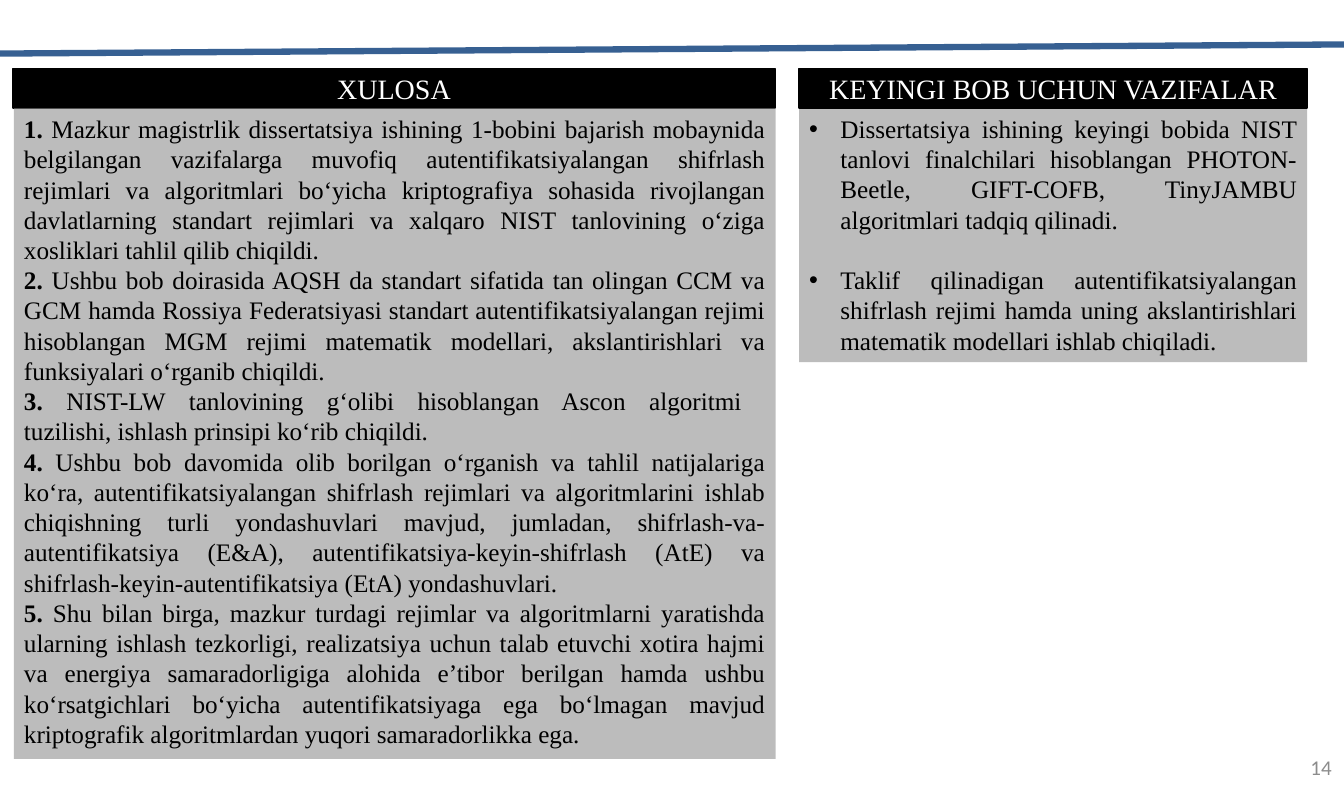
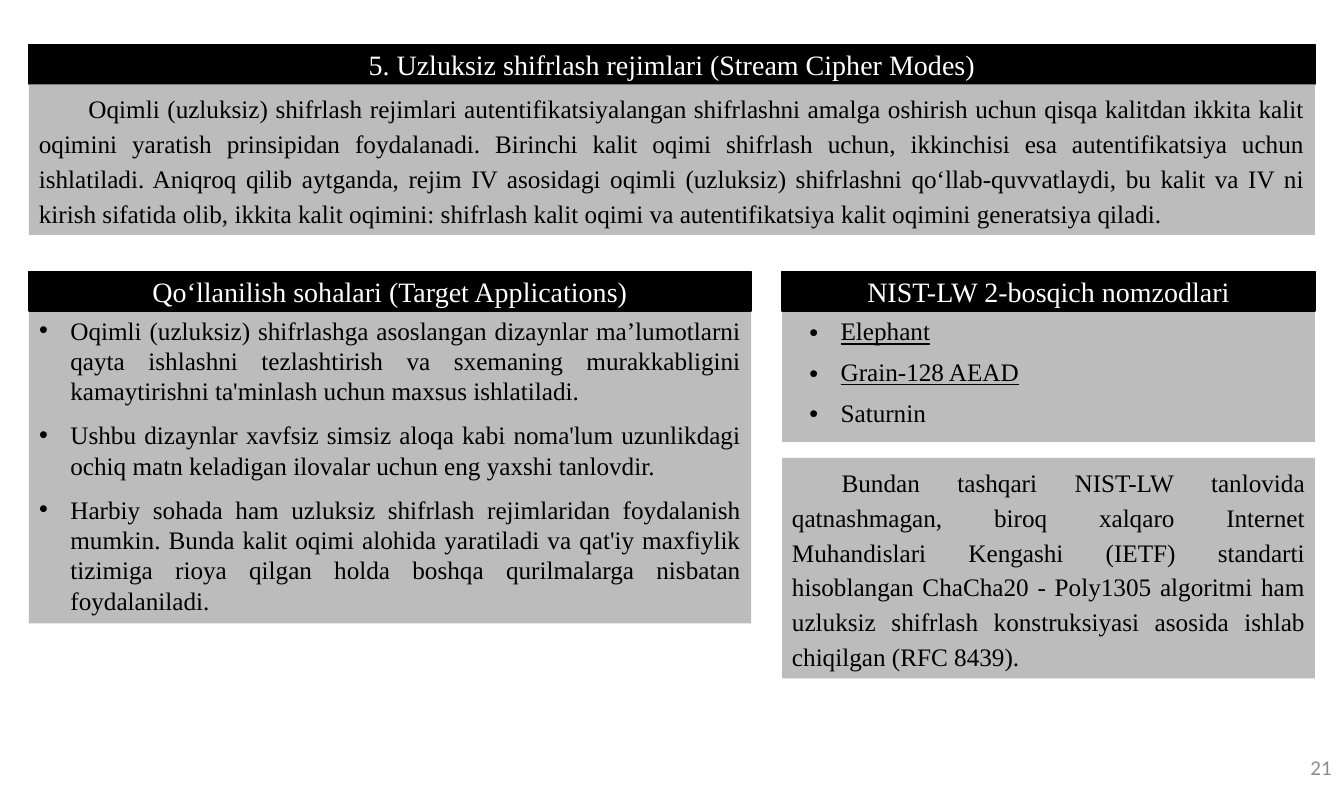
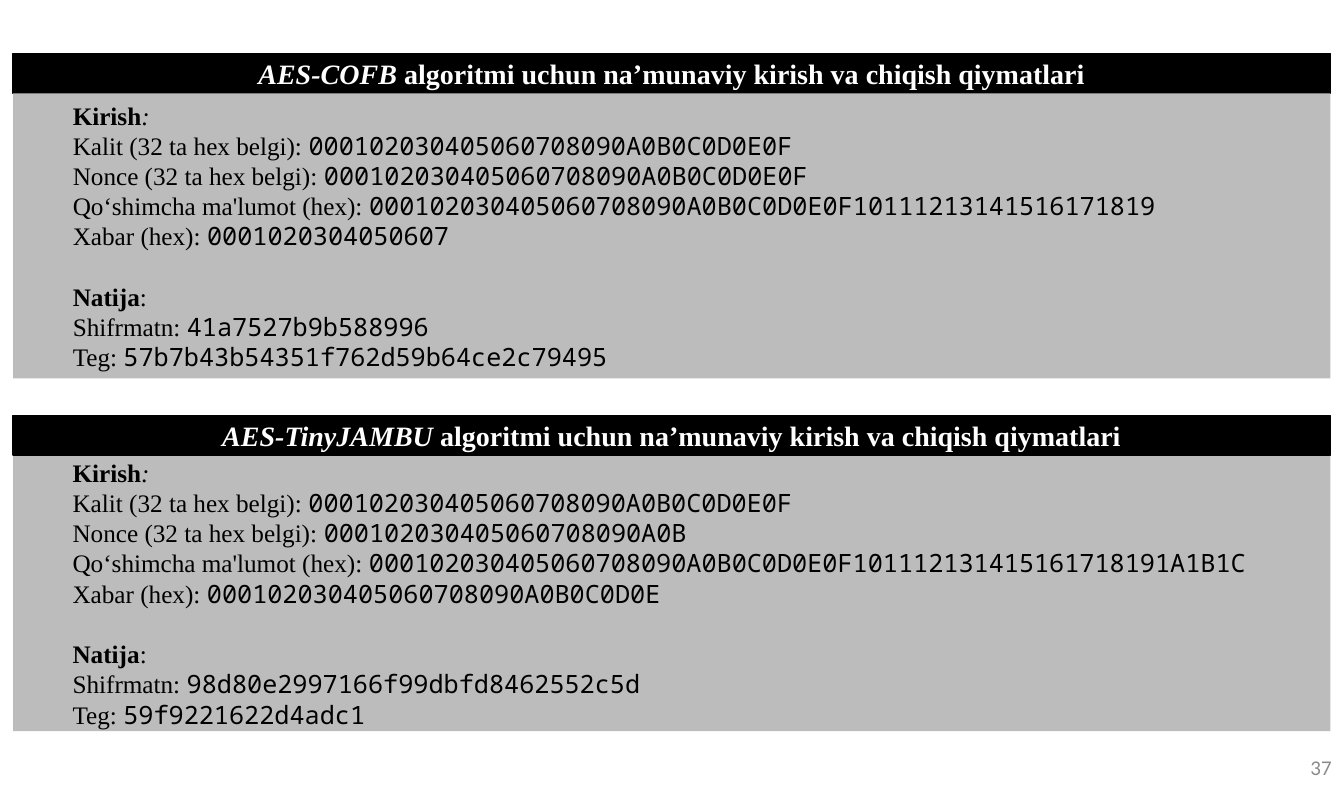
from lxml import etree
from pptx import Presentation
from pptx import util as u
from pptx.dml.color import RGBColor
from pptx.enum import shapes, text
from pptx.oxml import ns

Cm, Pt = u.Cm, u.Pt

COLORS = {"heading": "000000", "heading_text": "FFFFFF", "panel": "A6A6A6",
          "body_text": "000000", "rule": "376092", "number": "8C8C8C"}
SERIF, MONO, SANS = "Times New Roman", "Noto Sans Mono", "Calibri"
HEADING_HEIGHT = 1.0
LINE = 21.6
BULLET_INDENT = 0.79
FIRST_LINE_INDENT = 1.25
NO_TABLE_STYLE = "{2D5ABB26-0587-4C30-8999-92F81FD0307C}"

# Paragraph layouts: bullet, first-line indent in cm, line spacing, space after in pt
STYLES = {
    "plain": {},
    "bullets": {"bullet": True},
    "spaced bullets": {"bullet": True, "after": 10},
    "prose": {"indent": FIRST_LINE_INDENT, "spacing": 1.15, "after": 10},
    "listing": {"indent": FIRST_LINE_INDENT},
}

CONCLUSIONS = [
    "Mazkur magistrlik dissertatsiya ishining 1-bobini bajarish mobaynida belgilangan vazifalarga muvofiq autentifikatsiyalangan shifrlash rejimlari va algoritmlari bo‘yicha kriptografiya sohasida rivojlangan davlatlarning standart rejimlari va xalqaro NIST tanlovining o‘ziga xosliklari tahlil qilib chiqildi.",
    "Ushbu bob doirasida AQSH da standart sifatida tan olingan CCM va GCM hamda Rossiya Federatsiyasi standart autentifikatsiyalangan rejimi hisoblangan MGM rejimi matematik modellari, akslantirishlari va funksiyalari o‘rganib chiqildi.",
    "NIST-LW tanlovining g‘olibi hisoblangan Ascon algoritmi \ntuzilishi, ishlash prinsipi ko‘rib chiqildi.",
    "Ushbu bob davomida olib borilgan o‘rganish va tahlil natijalariga ko‘ra, autentifikatsiyalangan shifrlash rejimlari va algoritmlarini ishlab chiqishning turli yondashuvlari mavjud, jumladan, shifrlash-va-autentifikatsiya (E&A), autentifikatsiya-keyin-shifrlash (AtE) va shifrlash-keyin-autentifikatsiya (EtA) yondashuvlari.",
    "Shu bilan birga, mazkur turdagi rejimlar va algoritmlarni yaratishda ularning ishlash tezkorligi, realizatsiya uchun talab etuvchi xotira hajmi va energiya samaradorligiga alohida e’tibor berilgan hamda ushbu ko‘rsatgichlari bo‘yicha autentifikatsiyaga ega bo‘lmagan mavjud kriptografik algoritmlardan yuqori samaradorlikka ega.",
]
NEXT_TASKS = [
    "Dissertatsiya ishining keyingi bobida NIST tanlovi finalchilari hisoblangan PHOTON-Beetle, GIFT-COFB, TinyJAMBU algoritmlari tadqiq qilinadi.",
    "Taklif qilinadigan autentifikatsiyalangan shifrlash rejimi hamda uning akslantirishlari matematik modellari ishlab chiqiladi.",
]
STREAM_MODES = "Oqimli (uzluksiz) shifrlash rejimlari autentifikatsiyalangan shifrlashni amalga oshirish uchun qisqa kalitdan ikkita kalit oqimini yaratish prinsipidan foydalanadi. Birinchi kalit oqimi shifrlash uchun, ikkinchisi esa autentifikatsiya uchun ishlatiladi. Aniqroq qilib aytganda, rejim IV asosidagi oqimli (uzluksiz) shifrlashni qo‘llab-quvvatlaydi, bu kalit va IV ni kirish sifatida olib, ikkita kalit oqimini: shifrlash kalit oqimi va autentifikatsiya kalit oqimini generatsiya qiladi."
APPLICATIONS = [
    "Oqimli (uzluksiz) shifrlashga asoslangan dizaynlar ma’lumotlarni qayta ishlashni tezlashtirish va sxemaning murakkabligini kamaytirishni ta'minlash uchun maxsus ishlatiladi.",
    "Ushbu dizaynlar xavfsiz simsiz aloqa kabi noma'lum uzunlikdagi ochiq matn keladigan ilovalar uchun eng yaxshi tanlovdir.",
    "Harbiy sohada ham uzluksiz shifrlash rejimlaridan foydalanish mumkin. Bunda kalit oqimi alohida yaratiladi va qat'iy maxfiylik tizimiga rioya qilgan holda boshqa qurilmalarga nisbatan foydalaniladi.",
]
CANDIDATES = [("Elephant", True), ("Grain-128 AEAD", True), ("Saturnin", False)]
CHACHA = "Bundan tashqari NIST-LW tanlovida qatnashmagan, biroq xalqaro Internet Muhandislari Kengashi (IETF) standarti hisoblangan ChaCha20 - Poly1305 algoritmi ham uzluksiz shifrlash konstruksiyasi asosida ishlab chiqilgan (RFC 8439)."

INPUT_LABELS = ["Kalit (32 ta hex belgi): ", "Nonce (32 ta hex belgi): ",
                "Qo‘shimcha ma'lumot (hex): ", "Xabar (hex): "]
OUTPUT_LABELS = ["Shifrmatn: ", "Teg: "]
TEST_VECTORS = [
    {"name": "AES-COFB ", "top": 1.35, "height": 7.19,
     "inputs": ["000102030405060708090A0B0C0D0E0F",
                "000102030405060708090A0B0C0D0E0F",
                "000102030405060708090A0B0C0D0E0F10111213141516171819",
                "0001020304050607"],
     "outputs": ["41a7527b9b588996", "57b7b43b54351f762d59b64ce2c79495"]},
    {"name": "AES-TinyJAMBU ", "top": 10.47, "height": 6.96,
     "inputs": ["000102030405060708090A0B0C0D0E0F",
                "000102030405060708090A0B",
                "000102030405060708090A0B0C0D0E0F101112131415161718191A1B1C",
                "000102030405060708090A0B0C0D0E"],
     "outputs": ["98d80e2997166f99dbfd8462552c5d", "59f9221622d4adc1"]},
]
VECTOR_TITLE = "algoritmi uchun na’munaviy kirish va chiqish qiymatlari"


def rgb(name):
    return RGBColor.from_string(COLORS[name])


def format_paragraph(paragraph, size, color, font=SERIF, align=None, bullet=False,
                     indent=0, spacing=1.0, before=0, after=0):
    properties = paragraph._p.get_or_add_pPr()
    first = -BULLET_INDENT if bullet else indent
    properties.set("marL", str(Cm(BULLET_INDENT if bullet else 0)))
    properties.set("indent", str(Cm(first)))
    if bullet:
        etree.SubElement(properties, ns.qn("a:buFont")).set("typeface", "Arial")
        etree.SubElement(properties, ns.qn("a:buChar")).set("char", "•")
    else:
        etree.SubElement(properties, ns.qn("a:buNone"))
    paragraph.alignment = align
    paragraph.line_spacing = spacing
    paragraph.space_before, paragraph.space_after = Pt(before), Pt(after)
    paragraph.font.name, paragraph.font.size = font, Pt(size)
    paragraph.font.color.rgb = rgb(color)


def add_runs(paragraph, runs):
    """Add (text, font attributes) pairs; a newline becomes a line break."""
    for words, attributes in runs:
        for index, piece in enumerate(words.split("\n")):
            if index:
                paragraph.add_line_break()
            run = paragraph.add_run()
            run.text = piece
            for name, value in attributes.items():
                setattr(run.font, name, value)


def write(shape, paragraphs, anchor, **layout):
    """Fill a shape with paragraphs, each a list of runs and its space before."""
    frame = shape.text_frame
    frame.word_wrap = True
    frame.auto_size = text.MSO_AUTO_SIZE.NONE
    frame.vertical_anchor = anchor
    for index, (runs, before) in enumerate(paragraphs):
        paragraph = frame.add_paragraph() if index else frame.paragraphs[0]
        format_paragraph(paragraph, before=before, **layout)
        add_runs(paragraph, runs)


def place(slide, placeholder, left, top, width, height):
    """Move the placeholder there, or add a rectangle when there is none."""
    box = [Cm(length) for length in (left, top, width, height)]
    if placeholder is None:
        shape = slide.shapes.add_shape(shapes.MSO_SHAPE.RECTANGLE, *box)
        shape.shadow.inherit = False
        return shape
    placeholder.left, placeholder.top, placeholder.width, placeholder.height = box
    return placeholder


def add_heading(slide, left, top, width, runs, placeholder=None):
    shape = place(slide, placeholder, left, top, width, HEADING_HEIGHT)
    shape.fill.solid()
    shape.fill.fore_color.rgb = rgb("heading")
    shape.line.color.rgb = rgb("heading")
    shape.line.width = Pt(1)
    write(shape, [(runs, 0)], text.MSO_ANCHOR.MIDDLE, size=20,
          color="heading_text", align=text.PP_ALIGN.CENTER)


def add_panel(slide, left, top, width, height, paragraphs=(), style="plain",
              placeholder=None, anchor=text.MSO_ANCHOR.TOP):
    shape = place(slide, placeholder, left, top, width, height)
    shape.fill.solid()
    shape.fill.fore_color.rgb = rgb("panel")
    color = shape._element.spPr.find(".//" + ns.qn("a:srgbClr"))
    etree.SubElement(color, ns.qn("a:alpha")).set("val", "75000")
    shape.line.fill.background()
    write(shape, paragraphs, anchor, size=18, color="body_text",
          align=text.PP_ALIGN.JUSTIFY, **STYLES[style])


def plain(items, gap=0):
    """One paragraph per text, with a gap between them."""
    return [([(item, {})], gap if index else 0) for index, item in enumerate(items)]


def start_slide(presentation, number):
    """Add a slide with its number; return it with its title and body."""
    slide = presentation.slides.add_slide(presentation.slide_layouts[1])
    box = slide.shapes.add_textbox(Cm(25.96), Cm(18.8), Cm(7.9), Cm(1.06))
    frame = box.text_frame
    frame.margin_left = frame.margin_right = Cm(0.3)
    write(box, [([(str(number), {})], 0)], text.MSO_ANCHOR.MIDDLE, size=15,
          color="number", font=SANS, align=text.PP_ALIGN.RIGHT)
    return slide, slide.shapes.title, slide.placeholders[1]


def build_conclusions(presentation):
    slide, title, body = start_slide(presentation, 14)
    rule = slide.shapes.add_connector(shapes.MSO_CONNECTOR.STRAIGHT, 0, Cm(1.35),
                                      presentation.slide_width, Cm(1.12))
    rule.line.color.rgb = rgb("rule")
    rule.line.width = Pt(4.5)
    etree.SubElement(rule._element.spPr, ns.qn("a:effectLst"))

    top, panel_top = 1.72, 2.73
    numbered = [([(f"{number}. ", {"bold": True}), (item, {})], 0)
                for number, item in enumerate(CONCLUSIONS, 1)]
    add_panel(slide, 0.35, panel_top, 19.2, 16.4, numbered, placeholder=body)
    add_heading(slide, 0.33, top, 19.2, [("XULOSA", {})], title)
    add_panel(slide, 20.14, panel_top, 12.8, 6.4, plain(NEXT_TASKS, LINE), "bullets")
    add_heading(slide, 20.14, top, 12.8, [("KEYINGI BOB UCHUN VAZIFALAR", {})])


def add_candidates(slide, left, top, widths, row_height):
    graphic = slide.shapes.add_table(len(CANDIDATES), len(widths), Cm(left), Cm(top),
                                     Cm(sum(widths)), Cm(row_height * len(CANDIDATES)))
    table = graphic.table
    table.first_row = table.horz_banding = False
    table._tbl.tblPr.find(ns.qn("a:tableStyleId")).text = NO_TABLE_STYLE
    for column, width in zip(table.columns, widths):
        column.width = Cm(width)
    for cell in table.iter_cells():
        cell.fill.background()
    for row, (name, underlined) in enumerate(CANDIDATES):
        paragraph = table.cell(row, 0).text_frame.paragraphs[0]
        format_paragraph(paragraph, 18, "body_text", bullet=True)
        add_runs(paragraph, [(name, {"underline": underlined})])


def build_stream_modes(presentation):
    slide, title, body = start_slide(presentation, 21)
    left, right, right_width = 0.73, 19.71, 13.43
    top, lower_top = 1.12, 6.84
    lower_panel = lower_top + HEADING_HEIGHT
    full_width = right + right_width - left

    add_panel(slide, left, top + HEADING_HEIGHT, full_width, 3.8,
              plain([STREAM_MODES]), "prose")
    add_heading(slide, left, top, full_width,
                [("5. Uzluksiz shifrlash rejimlari (Stream Cipher Modes)", {})], title)
    add_panel(slide, left, lower_panel - 0.03, 18.2, 7.9, plain(APPLICATIONS),
              "spaced bullets", body)
    add_heading(slide, left, lower_top, 18.2,
                [("Qo‘llanilish sohalari (Target Applications)", {})])
    add_panel(slide, right, lower_panel, right_width, 3.3)
    add_heading(slide, right, lower_top, right_width,
                [("NIST-LW 2-bosqich nomzodlari", {})])
    add_candidates(slide, 20.14, 7.9, (6.6, 5.82), 1.02)
    add_panel(slide, right, 11.54, right_width, 5.56, plain([CHACHA]), "prose")


def vector_lines(vector):
    """Input and output sections, each a bold caption and labelled hex values."""
    sections = [("Kirish", {"italic": True}, INPUT_LABELS, vector["inputs"]),
                ("Natija", {}, OUTPUT_LABELS, vector["outputs"])]
    lines = []
    for caption, colon, labels, values in sections:
        lines.append(([(caption, {"bold": True}), (":", colon)], LINE if lines else 0))
        lines += [([(label, {}), (value, {"name": MONO})], 0)
                  for label, value in zip(labels, values)]
    return lines


def build_test_vectors(presentation):
    slide, title, body = start_slide(presentation, 37)
    left, width = 0.33, 33.2
    for vector, heading, panel in zip(TEST_VECTORS, (title, None), (body, None)):
        add_panel(slide, left, vector["top"] + HEADING_HEIGHT, width, vector["height"],
                  vector_lines(vector), "listing", panel, text.MSO_ANCHOR.MIDDLE)
        add_heading(slide, left, vector["top"], width,
                    [(vector["name"], {"bold": True, "italic": True}),
                     (VECTOR_TITLE, {"bold": True})], heading)


def main():
    presentation = Presentation()
    presentation.slide_width, presentation.slide_height = Cm(33.87), Cm(19.86)
    for build in (build_conclusions, build_stream_modes, build_test_vectors):
        build(presentation)
    presentation.save("out.pptx")


if __name__ == "__main__":
    main()
